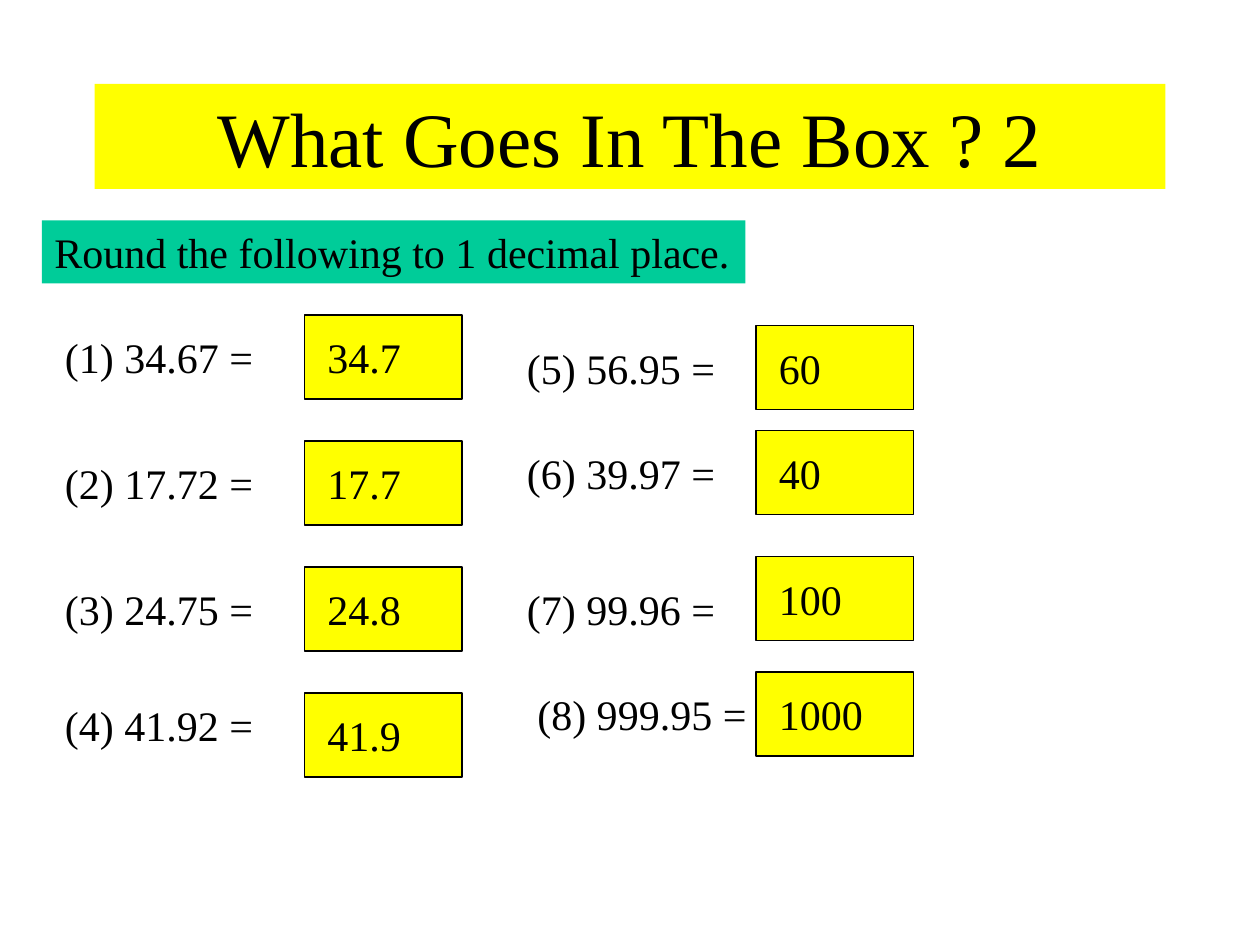
from pptx import Presentation
from pptx.dml.color import RGBColor
from pptx.enum.shapes import MSO_SHAPE
from pptx.enum.text import MSO_ANCHOR, MSO_AUTO_SIZE, PP_ALIGN
from pptx.util import Emu, Pt

PX = 9525  # 96 px to the inch
BLACK, YELLOW, GREEN = "000000", "FFFF00", "00CC99"


def paint(target, color):
    """Fill a shape or line with a solid hex colour."""
    target.fill.solid()
    target.fill.fore_color.rgb = RGBColor.from_string(color)


def write(box, text, size=24):
    """Put one black line of text in a box."""
    frame = box.text_frame
    frame.word_wrap = True
    frame.auto_size = MSO_AUTO_SIZE.NONE
    para = frame.paragraphs[0]
    span = para.add_run()
    span.text = text
    font_format = {"name": "Times New Roman", "size": Pt(size)}
    for name, value in font_format.items():
        setattr(span.font, name, value)
    paint(span.font, BLACK)
    return para


deck = Presentation()
deck.slide_width, deck.slide_height = Emu(960 * PX), Emu(720 * PX)
page = deck.slides.add_slide(deck.slide_layouts[5])

title = page.shapes.title
title_place = {"left": 72, "top": 64, "width": 816, "height": 80}
for name, value in title_place.items():
    setattr(title, name, Emu(value * PX))
paint(title, YELLOW)
write(title, "What Goes In The Box ? 2", 44).alignment = PP_ALIGN.CENTER
title.text_frame.vertical_anchor = MSO_ANCHOR.MIDDLE

instruction = page.shapes.add_textbox(32 * PX, 168 * PX, 536 * PX, 48 * PX)
paint(instruction, GREEN)
write(instruction, "Round the following to 1 decimal place.")

# Question text, its left, top and width
questions = [
    ("(1) 34.67 =", 40, 248, 168),
    ("(2) 17.72 =", 40, 344, 168),
    ("(3) 24.75 =", 40, 440, 168),
    ("(4) 41.92 =", 40, 528, 168),
    ("(5) 56.95 =", 392, 256, 168),
    ("(6) 39.97 =", 392, 336, 168),
    ("(7) 99.96 =", 392, 440, 168),
    ("(8) 999.95 =", 400, 520, 200),
]
# Answer text, left and top of its box
answers = [
    ("34.7", 232, 240),
    ("17.7", 232, 336),
    ("24.8", 232, 432),
    ("41.9", 232, 528),
    ("60", 576, 248),
    ("40", 576, 328),
    ("100", 576, 424),
    ("1000", 576, 512),
]

for text, left, top, width in questions:
    question = page.shapes.add_textbox(left * PX, top * PX, width * PX, 48 * PX)
    write(question, text)

for text, left, top in answers:
    box = page.shapes.add_shape(
        MSO_SHAPE.RECTANGLE, left * PX, top * PX, 120 * PX, 64 * PX)
    box.shadow.inherit = False
    paint(box, YELLOW)
    paint(box.line, BLACK)
    box.line.width = Pt(0.75)

for text, left, top in answers:
    answer = page.shapes.add_textbox(
        (left + 8) * PX, (top + 8) * PX, 96 * PX, 48 * PX)
    write(answer, text)

deck.save("out.pptx")
